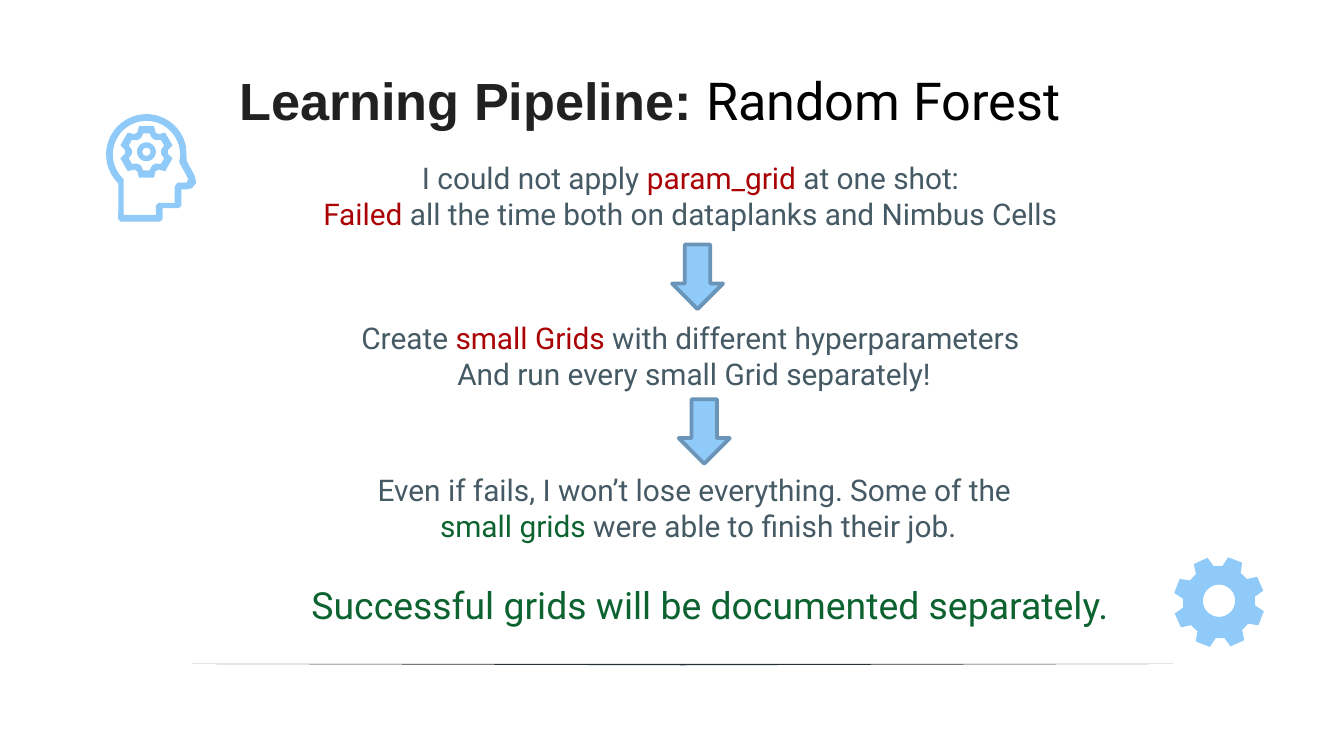
"""Build the random forest learning pipeline slide."""
from math import cos, radians, sin

from pptx import Presentation
from pptx.dml.color import RGBColor
from pptx.enum import shapes, text
from pptx.util import Inches, Pt

SKY = RGBColor(0x90, 0xCA, 0xF9)
STEEL = RGBColor(0x6B, 0x95, 0xB8)
SLATE = RGBColor(0x45, 0x5A, 0x64)
NIGHT = RGBColor(0x26, 0x32, 0x38)
INK = RGBColor(0x21, 0x21, 0x21)
BLACK = RGBColor(0, 0, 0)
RED = RGBColor(0xAA, 0x02, 0x04)
GREEN = RGBColor(0x0C, 0x63, 0x30)

deck = Presentation()
deck.slide_width = Inches(10)
deck.slide_height = Inches(10) * 9 // 16
slide = deck.slides.add_slide(deck.slide_layouts[6])


def spin(x, y, start, step, count, marks):
    return [(x + r * cos(radians(start + step * k + a)),
             y + r * sin(radians(start + step * k + a)))
            for k in range(count) for r, a in marks]


def draw(color, *rings):
    pen = None
    for ring in rings:
        spots = [(Inches(x), Inches(y)) for x, y in ring]
        if pen is None:
            pen = slide.shapes.build_freeform(*spots[0], scale=1.0)
        else:
            pen.move_to(*spots[0])
        pen.add_line_segments(spots[1:], close=True)
    form = pen.convert_to_shape()
    form.shadow.inherit = False
    form.fill.solid()
    form.fill.fore_color.rgb = color
    form.line.fill.background()


draw(NIGHT, [(1.43, 4.94), (8.73, 4.94), (5.08, 4.95)])

draw(SKY,
     spin(9.07, 4.48, 21, 45, 8,
          [(0.27, -15.5), (0.34, -9.5), (0.34, 9.5), (0.27, 15.5)]),
     spin(9.07, 4.47, 0, -10, 36, [(0.12, 0)]))

skull = spin(1.09, 1.15, -11, -5, 44, [(0.3, 0)])
neck = [(0.88, 1.63), (0.9, 1.65), (1.19, 1.65), (1.21, 1.63), (1.21, 1.55),
        (1.33, 1.55), (1.35, 1.53), (1.35, 1.41), (1.39, 1.41), (1.43, 1.4),
        (1.46, 1.36), (1.45, 1.31), (1.39, 1.2)]
brain = spin(1.09, 1.15, 13, -5, 49, [(0.25, 0)])
throat = [(0.92, 1.36), (0.92, 1.6), (1.16, 1.6), (1.16, 1.53), (1.18, 1.51),
          (1.3, 1.51), (1.3, 1.39), (1.32, 1.36), (1.39, 1.36), (1.4, 1.33)]
draw(SKY, skull + neck, brain + throat)
draw(SKY, *[spin(1.09, 1.13, -90, 60, 6,
                 [(low, -far), (top, -near), (top, near), (low, far)])
            for top, low, near, far in [(0.2, 0.16, 16, 25),
                                        (0.14, 0.11, 10, 22)]])
draw(SKY, *[spin(1.09, 1.13, 0, 10, 36, [(r, 0)]) for r in (0.07, 0.03)])

TOP, MID = text.MSO_ANCHOR.TOP, text.MSO_ANCHOR.MIDDLE
blocks = [
    (1.02, 0.41, 7.63, 0.63, 28, TOP, [
        [("Learning Pipeline: ", INK), ("Random Forest", BLACK)]]),
    (1.99, 1.14, 6.35, 0.63, 16, MID, [
        [("I could not apply ", SLATE), ("param_grid ", RED),
         ("at one shot: ", SLATE)],
        [("Failed", RED),
         (" all the time both on dataplanks and Nimbus Cells ", SLATE)]]),
    (1.99, 2.33, 6.35, 0.63, 16, MID, [
        [("Create ", SLATE), ("small Grids", RED),
         (" with different hyperparameters ", SLATE)],
        [("And run every small Grid separately!", SLATE)]]),
    (2.02, 3.46, 6.35, 0.63, 16, MID, [
        [("Even if fails, I won’t lose everything. Some of the ", SLATE)],
        [("small grids", GREEN),
         (" were able to finish their job.", SLATE)]]),
    (2.11, 4.26, 6.35, 0.48, 20, MID, [
        [("Successful grids will be documented separately.", GREEN)]]),
]
for x, y, w, h, size, anchor, lines in blocks:
    box = slide.shapes.add_textbox(Inches(x), Inches(y), Inches(w), Inches(h))
    frame = box.text_frame
    frame.word_wrap = True
    frame.vertical_anchor = anchor
    frame.margin_left = frame.margin_right = 0
    frame.margin_top = frame.margin_bottom = Inches(0.1)
    for i, line in enumerate(lines):
        para = frame.add_paragraph() if i else frame.paragraphs[0]
        para.alignment = text.PP_ALIGN.CENTER
        para.font.size = Pt(size)
        for words, color in line:
            run = para.add_run()
            run.text = words
            run.font.name = "Arial" if color == INK else "Roboto"
            run.font.bold = color == INK
            run.font.color.rgb = color

for x, y in [(5, 1.82), (5.05, 2.97)]:
    arrow = slide.shapes.add_shape(shapes.MSO_SHAPE.DOWN_ARROW, Inches(x),
                                   Inches(y), Inches(0.38), Inches(0.48))
    arrow.shadow.inherit = False
    arrow.fill.solid()
    arrow.fill.fore_color.rgb = SKY
    arrow.line.color.rgb = STEEL
    arrow.line.width = Pt(2)

deck.save("out.pptx")
